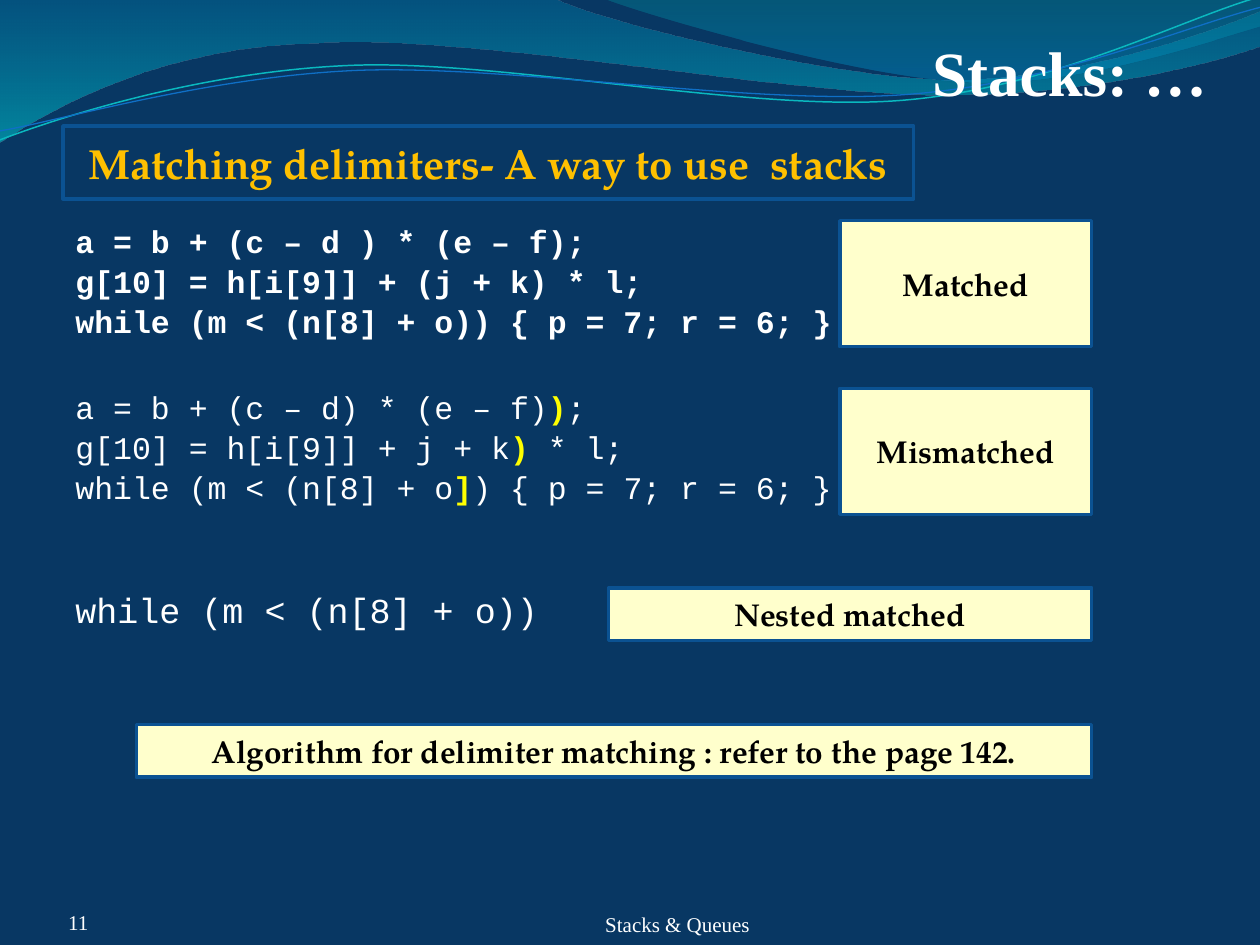
from itertools import chain, islice

from pptx import Presentation
from pptx.dml.color import RGBColor
from pptx.enum.shapes import MSO_SHAPE
from pptx.enum.text import MSO_ANCHOR, PP_ALIGN
from pptx.oxml.ns import qn
from pptx.util import Cm, Pt
from lxml.etree import SubElement

SERIF, CODE, PALATINO = "Times New Roman", "Courier New", "TeX Gyre Pagella"
WHITE, YELLOW, CREAM, EDGE = "FFFFFF", "FFFF00", "FFFFCC", "0B5292"
RIGHT_EDGE = 22.01


def rgb(value):
    return RGBColor.from_string(value)


def assign(target, values):
    for name, value in values.items():
        setattr(target, name, value)


class SlideBuilder:
    def __init__(self, slide, background):
        self.slide = slide
        fill = slide.background.fill
        fill.solid()
        fill.fore_color.rgb = rgb(background)

    def outline(self, start, segments, close):
        """Draw line (2 numbers) and cubic curve (6 numbers) segments."""
        numbers = [Cm(value) for value in chain(start, *segments)]
        points = list(zip(numbers[::2], numbers[1::2]))
        builder = self.slide.shapes.build_freeform(*points[0])
        builder.add_line_segments(points[1:], close=close)
        shape = builder.convert_to_shape()
        shape.shadow.inherit = False
        geometry = next(shape.element.spPr.iter(qn("a:path")))
        lines = iter(geometry.findall(qn("a:lnTo")))
        for segment in segments:
            steps = list(islice(lines, len(segment) // 2))
            if len(steps) == 3:
                curve = SubElement(geometry, qn("a:cubicBezTo"))
                steps[0].addprevious(curve)
                for step in steps:
                    curve.append(step[0])
                    geometry.remove(step)
        return shape

    def wave(self, start, segments, stops):
        """Draw a filled wave; stops are (position, colour, opacity percent)."""
        shape = self.outline(start, segments, True)
        shape.line.fill.background()
        shape.fill.gradient()
        shape.fill.gradient_angle = 270
        for stop, (position, color, _) in zip(shape.fill.gradient_stops, stops):
            stop.position = position
            stop.color.rgb = rgb(color)
        for node, (_, _, opacity) in zip(
                shape.element.spPr.iter(qn("a:srgbClr")), stops):
            SubElement(node, qn("a:alpha")).set("val", str(opacity * 1000))

    def strand(self, start, segments, color, width):
        shape = self.outline(start, segments, False)
        shape.fill.background()
        shape.line.color.rgb = rgb(color)
        shape.line.width = Pt(width)

    def run(self, paragraph, text, font, size, color, bold):
        run = paragraph.add_run()
        run.text = text
        assign(run.font, {"name": font, "size": Pt(size), "bold": bold})
        run.font.color.rgb = rgb(color)

    def label(self, box, text, size, align, bold=False, top_inset=0):
        frame = self.slide.shapes.add_textbox(*map(Cm, box)).text_frame
        assign(frame, {"word_wrap": True, "vertical_anchor": MSO_ANCHOR.BOTTOM,
                       "margin_left": 0, "margin_top": Cm(top_inset),
                       "margin_right": 0, "margin_bottom": 0})
        paragraph = frame.paragraphs[0]
        paragraph.alignment = align
        self.run(paragraph, text, SERIF, size, WHITE, bold)

    def code(self, box, lines):
        """Write code lines; parts between bars are highlighted."""
        frame = self.slide.shapes.add_textbox(*map(Cm, box)).text_frame
        frame.word_wrap = True
        for index, (text, size, bold, space) in enumerate(lines):
            paragraph = frame.add_paragraph() if index else frame.paragraphs[0]
            assign(paragraph, {"line_spacing": 0.9, "space_before": Pt(space)})
            for part, piece in enumerate(text.split("|")):
                marked = part % 2 == 1
                self.run(paragraph, piece, CODE, size,
                         YELLOW if marked else WHITE, bold or marked)

    def panel(self, box, text, size=18, color="000000", fill=CREAM):
        shape = self.slide.shapes.add_shape(MSO_SHAPE.RECTANGLE, *map(Cm, box))
        shape.shadow.inherit = False
        if fill:
            shape.fill.solid()
            shape.fill.fore_color.rgb = rgb(fill)
        else:
            shape.fill.background()
        shape.line.color.rgb = rgb(EDGE)
        shape.line.width = Pt(2)
        frame = shape.text_frame
        assign(frame, {"word_wrap": True, "vertical_anchor": MSO_ANCHOR.MIDDLE})
        paragraph = frame.paragraphs[0]
        paragraph.alignment = PP_ALIGN.CENTER
        self.run(paragraph, text, PALATINO, size, color, True)


def main():
    deck = Presentation()
    assign(deck, {"slide_width": Cm(25.4), "slide_height": Cm(19.05)})
    page = SlideBuilder(deck.slides.add_slide(deck.slide_layouts[6]), "083763")

    page.wave((0, 0), [
        (11.18, -0.03),
        (12.09, 0.43, 16.87, 1.6, 19.25, 1.6),
        (21.67, 1.6, 24.33, 0.66, 25.4, 0.23),
        (25.43, 0.91),
        (24.97, 1.12, 22.1, 1.93, 18.95, 1.91),
        (15.8, 1.91, 9.7, 0.71, 6.53, 0.86),
        (3.28, 0.91, 1.17, 2.11, -0.03, 2.87),
    ], [(0, "0074A1", 45), (1, "00C6CF", 55)])
    page.wave((12.17, -0.03), [
        (12.93, 0.28, 17.32, 1.57, 19.53, 1.65),
        (21.74, 1.75, 24.41, 0.81, 25.4, 0.53),
        (25.4, 0),
    ], [(0, "00A1A9", 30), (0.8, "008BBF", 45)])
    page.strand((0, 2.82), [
        (1.22, 2.36, 4.01, 1.45, 7.04, 1.32),
        (10.03, 1.19, 15.06, 2.26, 18.11, 2.03),
        (21.16, 1.8, 23.83, 0.38, 25.35, -0.05),
    ], "0AB8BF", 0.85)
    page.strand((0, 2.64), [
        (1.19, 2.44, 4.17, 1.55, 7.19, 1.42),
        (10.24, 1.3, 15.16, 2.13, 18.21, 1.91),
        (21.23, 1.7, 23.9, 0.53, 25.4, 0.15),
    ], "0F6FC6", 0.75)

    page.label((1.27, 18.21, 2.54, 0.64), " 11", 12, PP_ALIGN.LEFT)
    page.label((1.47, 0.43, 22.86, 1.78), "Stacks: …", 36, PP_ALIGN.RIGHT,
               bold=True, top_inset=0.13)
    page.code((1.27, 4.43, 16.51, 12.57), [
        ("a = b + (c – d ) * (e – f);", 18, True, 0),
        ("g[10] = h[i[9]] + (j + k) * l;", 18, True, 3.6),
        ("while (m < (n[8] + o)) { p = 7; r = 6; }", 18, True, 3.6),
        ("a = b + (c – d) * (e – f)|)|;", 18, False, 29.3),
        ("g[10] = h[i[9]] + j + k|)| * l;", 18, False, 3.6),
        ("while (m < (n[8] + o|]|) { p = 7; r = 6; }", 18, False, 3.6),
        ("while (m < (n[8] + o))", 20, False, 49.3),
    ])
    page.panel((1.27, 2.54, 17.15, 1.47), "Matching delimiters- A way to use  stacks",
               size=24, color="FFC000", fill=None)
    for top, width, height, text in [
        (4.45, 5.08, 2.54, "Matched"),
        (7.83, 5.08, 2.54, "Mismatched"),
        (11.85, 9.74, 1.06, "Nested matched"),
        (14.61, 19.26, 1.06, "Algorithm for delimiter matching : refer to the page 142."),
    ]:
        page.panel((RIGHT_EDGE - width, top, width, height), text)
    page.label((7.41, 18.2, 12.5, 0.68), "Stacks & Queues", 12, PP_ALIGN.CENTER)

    deck.save("out.pptx")


if __name__ == "__main__":
    main()
